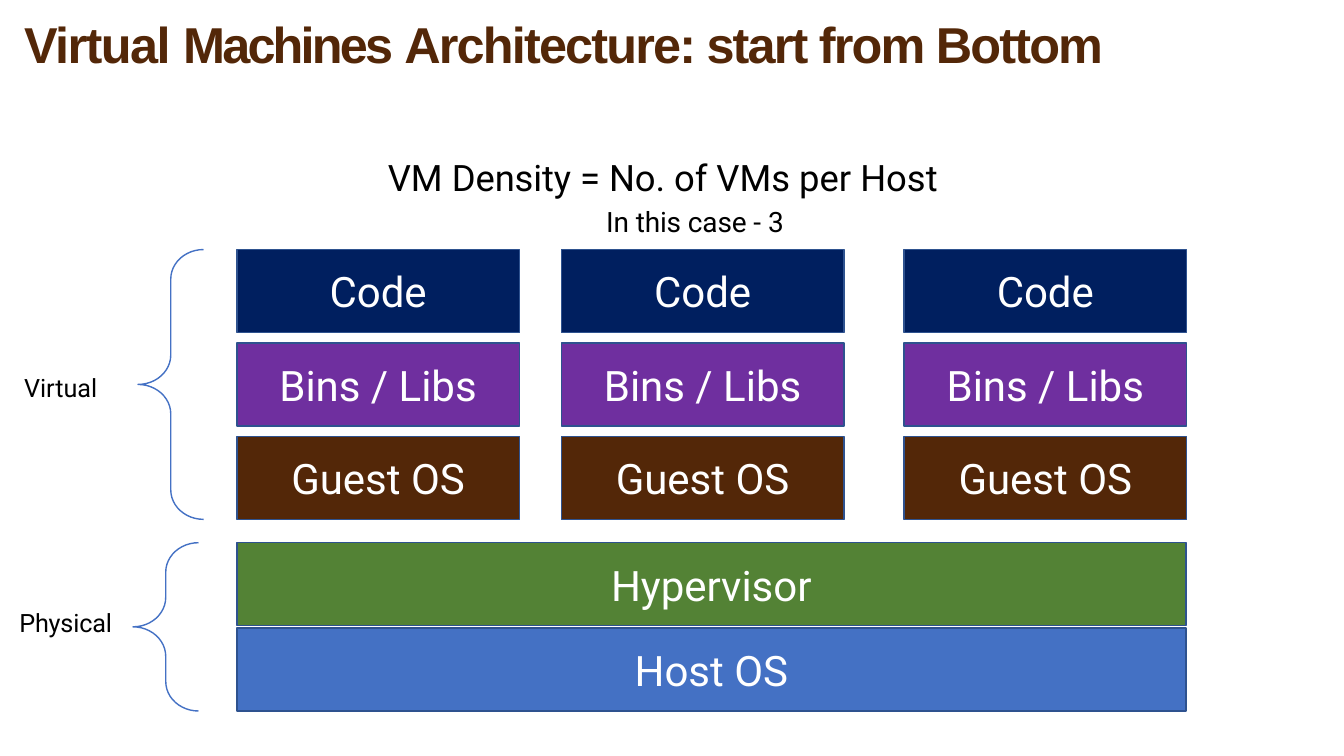
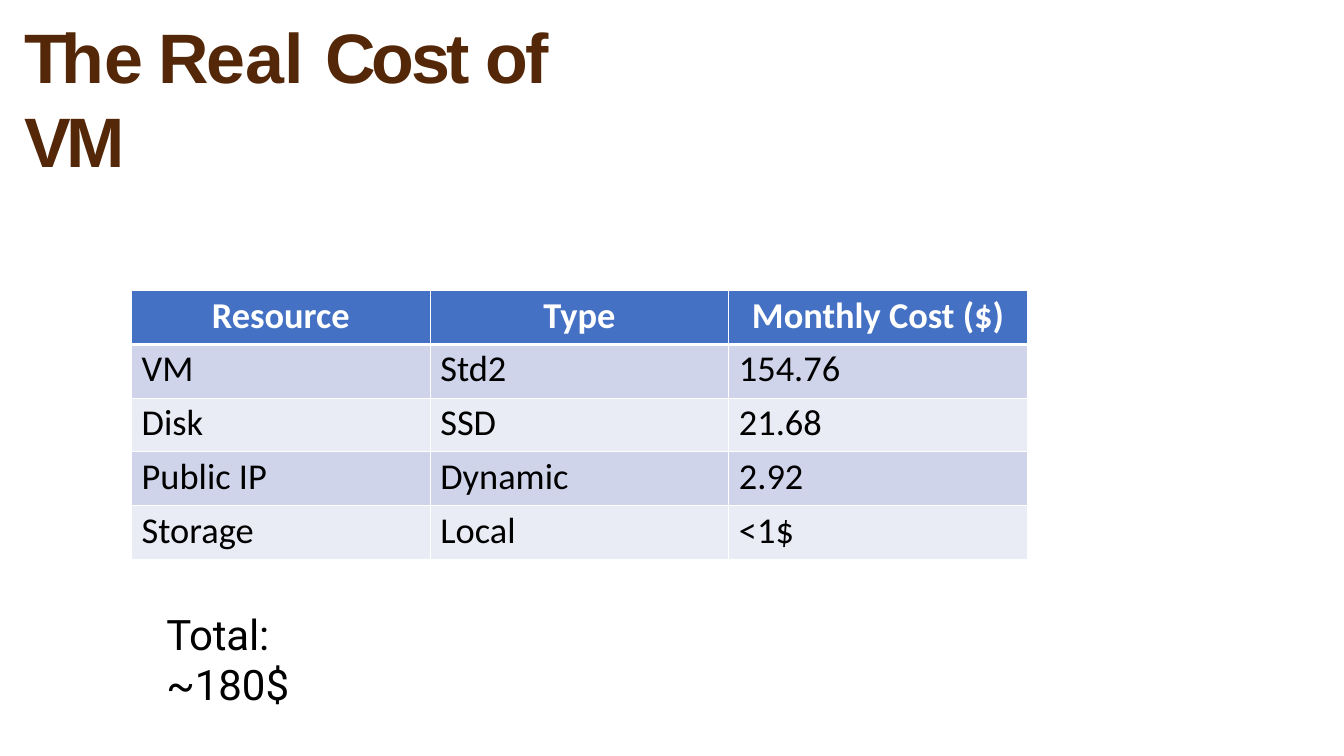
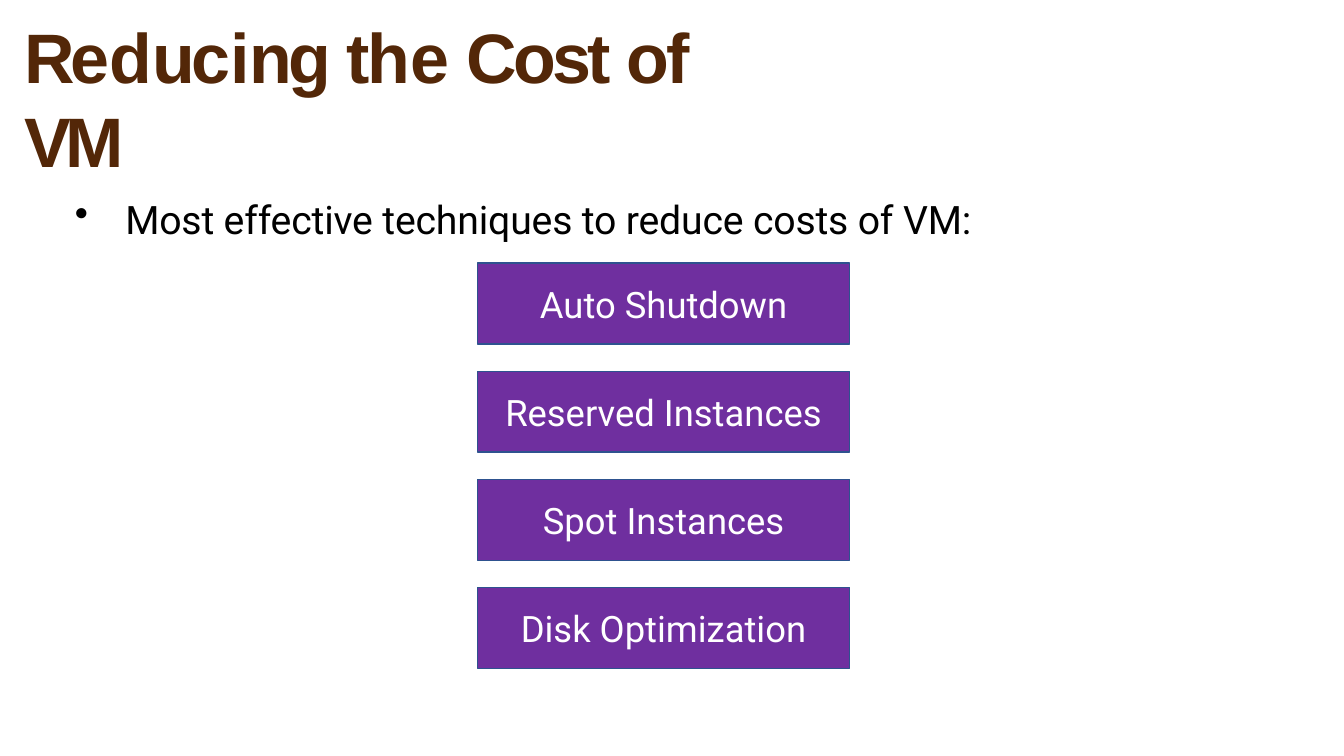
import pptx
import pptx.util
import pptx.dml.color
import pptx.enum.shapes
import pptx.enum.text
import pptx.oxml
import pptx.oxml.ns

Pt = pptx.util.Pt
RGBColor = pptx.dml.color.RGBColor
MSO_SHAPE = pptx.enum.shapes.MSO_SHAPE
PP_ALIGN = pptx.enum.text.PP_ALIGN
MSO_ANCHOR = pptx.enum.text.MSO_ANCHOR

BROWN = RGBColor(0x53, 0x27, 0x08)
PURPLE = RGBColor(0x6F, 0x2F, 0x9F)
NAVY = RGBColor(0x00, 0x1F, 0x5F)
GREEN = RGBColor(0x53, 0x82, 0x35)
BLUE = RGBColor(0x44, 0x71, 0xC4)
OUTLINE = RGBColor(0x2E, 0x52, 0x8F)
BAND_DARK = RGBColor(0xCF, 0xD4, 0xEA)
BAND_LIGHT = RGBColor(0xE9, 0xEB, 0xF5)
WHITE = RGBColor(0xFF, 0xFF, 0xFF)
BLACK = RGBColor(0x00, 0x00, 0x00)

BODY_FONT = "Roboto"
TITLE_FONT = "Arial"
TABLE_FONT = "Calibri"


def set_font(p, size, color, name=BODY_FONT, bold=False):
    p.font.size = Pt(size)
    p.font.name = name
    p.font.bold = bold
    p.font.color.rgb = color


def add_runs(p, runs):
    for text, spacing in runs:
        r = p.add_run()
        r.text = text
        if spacing:
            r._r.get_or_add_rPr().set("spc", str(round(spacing * 100)))


def set_indent(p, left, first=0):
    pPr = p._p.get_or_add_pPr()
    pPr.set("marL", str(Pt(left)))
    pPr.set("indent", str(Pt(first)))


def clear_margins(tf):
    tf.margin_left = tf.margin_top = tf.margin_right = tf.margin_bottom = 0
    tf.word_wrap = True


def add_text(slide, box, runs, size, color=BLACK, name=BODY_FONT, bold=False):
    sp = slide.shapes.add_textbox(*map(Pt, box))
    tf = sp.text_frame
    clear_margins(tf)
    tf.margin_top = Pt(1)
    p = tf.paragraphs[0]
    p.space_before = Pt(1)
    p.line_spacing = Pt(1.2 * size)
    set_font(p, size, color, name, bold)
    add_runs(p, runs)
    return tf


def add_title(slide, width, height, size, runs):
    add_text(slide, (17.2, 8.4, width, height), runs, size, BROWN, TITLE_FONT, True)


def add_block(slide, box, text, size, fill):
    sp = slide.shapes.add_shape(MSO_SHAPE.RECTANGLE, *map(Pt, box))
    sp.shadow.inherit = False
    sp.fill.solid()
    sp.fill.fore_color.rgb = fill
    sp.line.color.rgb = OUTLINE
    sp.line.width = Pt(1)
    tf = sp.text_frame
    clear_margins(tf)
    tf.vertical_anchor = MSO_ANCHOR.MIDDLE
    p = tf.paragraphs[0]
    p.text = text
    p.alignment = PP_ALIGN.CENTER
    set_font(p, size, WHITE)


def add_stack(slide, left, top, width, height, step, size, layers):
    for i, (text, fill) in enumerate(layers):
        add_block(slide, (left, top + i * step, width, height), text, size, fill)


def add_brace(slide, box):
    sp = slide.shapes.add_shape(MSO_SHAPE.LEFT_BRACE, *map(Pt, box))
    sp.shadow.inherit = False
    sp.adjustments[0] = 0.45
    sp.fill.background()
    sp.line.color.rgb = BLUE
    sp.line.width = Pt(1)


def add_density(slide, box):
    tf = add_text(slide, box, [("VM ", 0), ("Density ", -0.1), ("= ", 0),
                               ("No. ", -0.1), ("of VMs per Host", 0)], 26)
    tf.margin_top = Pt(6.5)
    p = tf.add_paragraph()
    p.space_before = Pt(4.2)
    set_indent(p, 156)
    set_font(p, 20, BLACK)
    add_runs(p, [("In this case ", -0.1), ("- 3", 0)])


def set_borders(cell, widths):
    tcPr = cell._tc.get_or_add_tcPr()
    for i, (side, width) in enumerate(widths.items()):
        tcPr.insert(i, pptx.oxml.parse_xml(
            f'<a:{side} {pptx.oxml.ns.nsdecls("a")} w="{Pt(width)}"><a:solidFill>'
            f'<a:srgbClr val="{WHITE}"/></a:solidFill></a:{side}>'))


def add_cost_table(slide, box, rows):
    left, top, width, height = box
    sp = slide.shapes.add_table(len(rows), len(rows[0]), *map(Pt, box))
    table = sp.table
    for col in table.columns:
        col.width = Pt(width / len(rows[0]))
    for i, values in enumerate(rows):
        table.rows[i].height = Pt(height / len(rows))
        header = i == 0
        fill = BLUE if header else BAND_DARK if i % 2 else BAND_LIGHT
        for j, text in enumerate(values):
            cell = table.cell(i, j)
            cell.fill.solid()
            cell.fill.fore_color.rgb = fill
            cell.margin_left = cell.margin_right = Pt(7.2)
            cell.margin_top = 0
            cell.margin_bottom = Pt(2.8)
            cell.vertical_anchor = MSO_ANCHOR.MIDDLE
            p = cell.text_frame.paragraphs[0]
            p.text = text
            p.alignment = PP_ALIGN.CENTER if header else PP_ALIGN.LEFT
            set_font(p, 26, WHITE if header else BLACK, TABLE_FONT, header)
            set_borders(cell, {"lnL": 1, "lnR": 1, "lnT": 3 if i == 1 else 1,
                               "lnB": 3 if header else 1})


def add_bullet(slide, box, text):
    tf = add_text(slide, box, [(text, -0.1)], 28)
    tf.margin_top = Pt(1.8)
    p = tf.paragraphs[0]
    p.line_spacing = 1.0
    set_indent(p, 36.7, -36)
    p._p.get_or_add_pPr().append(pptx.oxml.parse_xml(
        f'<a:buChar {pptx.oxml.ns.nsdecls("a")} char="•"/>'))


def architecture_slide(slide):
    add_title(slide, 907, 44.6, 36, [("Virtual ", -1.1), ("Machines ", -2),
                                     ("Architecture: start from Bottom", -1.3)])
    add_stack(slide, 169.2, 387.7, 678, 59.3, 60.9, 30,
              [("Hypervisor", GREEN), ("Host OS", BLUE)])
    for left in (169.2, 401, 645.8):
        add_stack(slide, left, 178.3, 201.8, 59.3, 66.7, 30,
                  [("Code", NAVY), ("Bins / Libs", PURPLE), ("Guest OS", BROWN)])
    add_brace(slide, (98.6, 178.3, 46.8, 192.7))
    add_brace(slide, (95, 387.7, 46.8, 120.2))
    add_text(slide, (17.2, 265, 55.4, 23.8), [("Virtual", 0)], 18)
    add_text(slide, (13.8, 433, 100, 23), [("Physical", -0.1)], 18)
    add_density(slide, (277, 104.4, 521.3, 67))


def cost_slide(slide):
    add_title(slide, 447, 62, 50, [("Th", -3.5), ("e ", -3.1), ("Re", -2), ("a", -1.6),
                                   ("l ", 0.6), ("Cost ", -2.7), ("of ", -2), ("VM", -3.4)])
    add_cost_table(slide, (94, 207.6, 640, 192), [
        ("Resource", "Type", "Monthly Cost ($)"),
        ("VM", "Std2", "154.76"),
        ("Disk", "SSD", "21.68"),
        ("Public IP", "Dynamic", "2.92"),
        ("Storage", "Local", "<1$"),
    ])
    add_text(slide, (118.8, 433.5, 158.4, 38), [("Total: ", -0.1), ("~180$", 0)], 30)


def reduction_slide(slide):
    add_title(slide, 545, 62, 50, [("Re", -2.8), ("d", -2.5), ("uc", -2.9), ("i", -1.3),
                                   ("ng ", -3.1), ("th", -1.3), ("e ", -1.4),
                                   ("Cost ", -2.7), ("of ", -2), ("VM", -3.4)])
    add_bullet(slide, (52.8, 137.5, 775.4, 35.3),
               "Most effective techniques to reduce costs of VM:")
    techniques = ("Auto Shutdown", "Reserved Instances", "Spot Instances",
                  "Disk Optimization")
    add_stack(slide, 341.2, 188, 265.8, 57.8, 77.2, 26,
              [(text, PURPLE) for text in techniques])


def main():
    prs = pptx.Presentation()
    prs.slide_width = Pt(960)
    prs.slide_height = Pt(540)
    for build in (architecture_slide, cost_slide, reduction_slide):
        build(prs.slides.add_slide(prs.slide_layouts[6]))
    prs.save("out.pptx")


if __name__ == "__main__":
    main()
